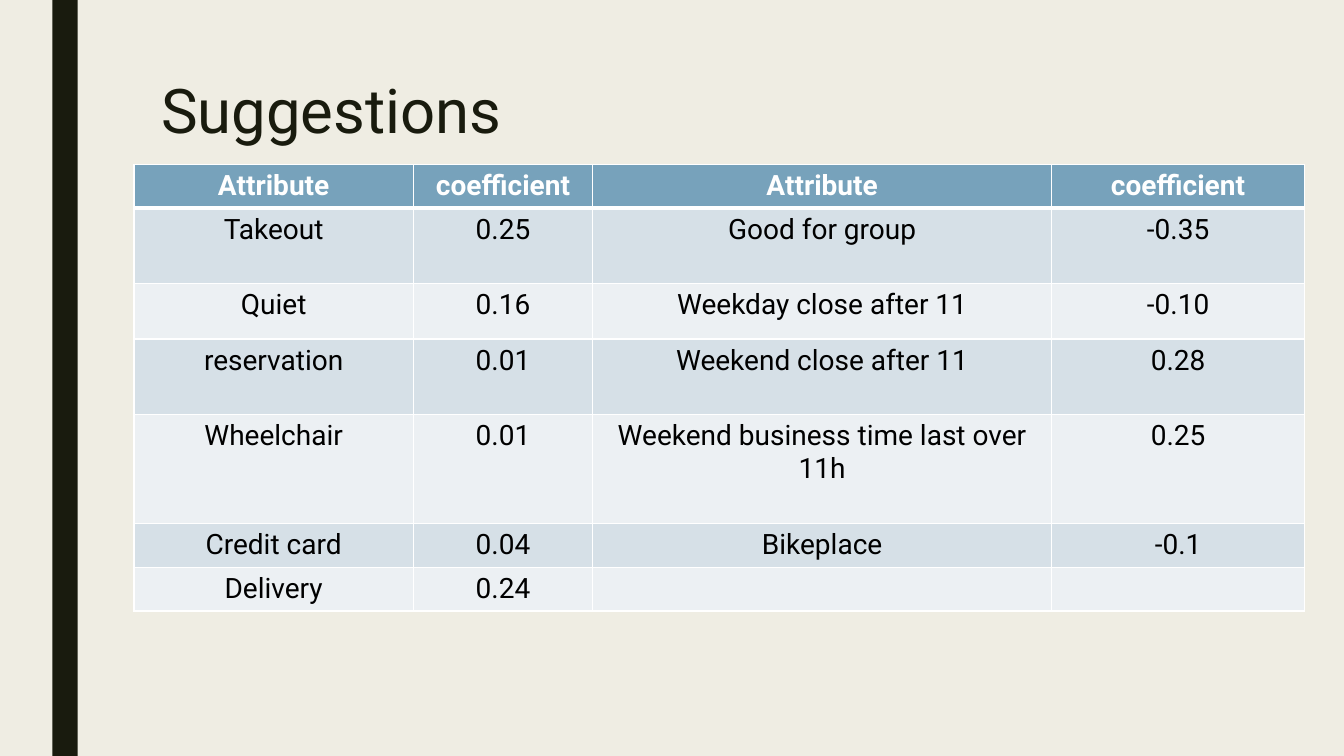
import pptx
import pptx.dml.color
import pptx.enum.shapes
import pptx.enum.text
import pptx.oxml
import pptx.oxml.ns
import pptx.util
from pptx.util import Inches

COLORS = {"bg": "EFEDE3", "dark": "191B0E", "head": "77A2BB", "odd": "D6E0E7",
          "even": "ECF0F3", "line": "FFFFFF", "text": "000000"}
FORMATS = {
    "title": {"name": "Roboto", "size": pptx.util.Pt(44), "bold": False},
    "head": {"name": "Roboto", "size": pptx.util.Pt(20), "bold": True},
    "body": {"name": "Roboto", "size": pptx.util.Pt(20), "bold": False},
}
COL_WIDTHS = [2.77, 1.78, 4.55, 2.51]
ROW_HEIGHTS = [0.43, 0.75, 0.55, 0.75, 1.08, 0.43, 0.43]
ROWS = [
    ["Attribute", "coefficient", "Attribute", "coefficient"],
    ["Takeout", "0.25", "Good for group", "-0.35"],
    ["Quiet", "0.16", "Weekday close after 11", "-0.10"],
    ["reservation", "0.01", "Weekend close after 11", "0.28"],
    ["Wheelchair", "0.01", "Weekend business time last over 11h", "0.25"],
    ["Credit card", "0.04", "Bikeplace", "-0.1"],
    ["Delivery", "0.24", "", ""],
]


def rgb(key):
    """Return the named colour."""
    return pptx.dml.color.RGBColor.from_string(COLORS[key])


def set_font(font, style, color):
    """Apply a named format and colour to a font."""
    for attr, value in FORMATS[style].items():
        setattr(font, attr, value)
    font.color.rgb = rgb(color)


def set_borders(cell, bottom, top):
    """Draw the four borders of a cell, widths in points."""
    tc_pr = cell._tc.get_or_add_tcPr()
    for i, (side, width) in enumerate([("L", 1), ("R", 1), ("T", top), ("B", bottom)]):
        tc_pr.insert(i, pptx.oxml.parse_xml(
            f'<a:ln{side} {pptx.oxml.ns.nsdecls("a")} w="{pptx.util.Pt(width)}">'
            f'<a:solidFill><a:srgbClr val="{COLORS["line"]}"/></a:solidFill></a:ln{side}>'))


def add_side_bar(s, x, y, w, h):
    """Add the dark vertical bar."""
    sp = s.shapes.add_shape(pptx.enum.shapes.MSO_SHAPE.RECTANGLE,
                            Inches(x), Inches(y), Inches(w), Inches(h))
    sp.shadow.inherit = False
    sp.fill.solid()
    sp.fill.fore_color.rgb = rgb("dark")
    sp.line.fill.background()


def add_title(s, x, y, w, h, text):
    """Add the slide title."""
    tf = s.shapes.add_textbox(Inches(x), Inches(y), Inches(w), Inches(h)).text_frame
    tf.word_wrap = True
    tf.vertical_anchor = pptx.enum.text.MSO_ANCHOR.TOP
    p = tf.paragraphs[0]
    p.line_spacing = 0.89
    r = p.add_run()
    r.text = text
    set_font(r.font, "title", "dark")


def add_coefficients(s, x, y):
    """Add the table of attributes and coefficients."""
    table = s.shapes.add_table(len(ROWS), len(COL_WIDTHS), Inches(x), Inches(y),
                               Inches(sum(COL_WIDTHS)), Inches(sum(ROW_HEIGHTS))).table
    for column, width in zip(table.columns, COL_WIDTHS):
        column.width = Inches(width)
    for i, (row, height) in enumerate(zip(table.rows, ROW_HEIGHTS)):
        row.height = Inches(height)
        fill = "head" if i == 0 else "odd" if i % 2 else "even"
        for cell, text in zip(row.cells, ROWS[i]):
            cell.fill.solid()
            cell.fill.fore_color.rgb = rgb(fill)
            set_borders(cell, 3 if i == 0 else 1, 3 if i == 1 else 1)
            p = cell.text_frame.paragraphs[0]
            p.alignment = pptx.enum.text.PP_ALIGN.CENTER
            if text:
                r = p.add_run()
                r.text = text
                set_font(r.font, "body" if i else "head", "text" if i else "line")


def main():
    """Build and save the slide."""
    prs = pptx.Presentation()
    prs.slide_width, prs.slide_height = Inches(13.33), Inches(7.5)
    s = prs.slides.add_slide(prs.slide_layouts[6])
    s.background.fill.solid()
    s.background.fill.fore_color.rgb = rgb("bg")
    add_side_bar(s, 0.52, 0, 0.25, 7.5)
    add_title(s, 1.5, 0.75, 10.5, 1.62, "Suggestions")
    add_coefficients(s, 1.33, 1.63)
    prs.save("out.pptx")


if __name__ == "__main__":
    main()
